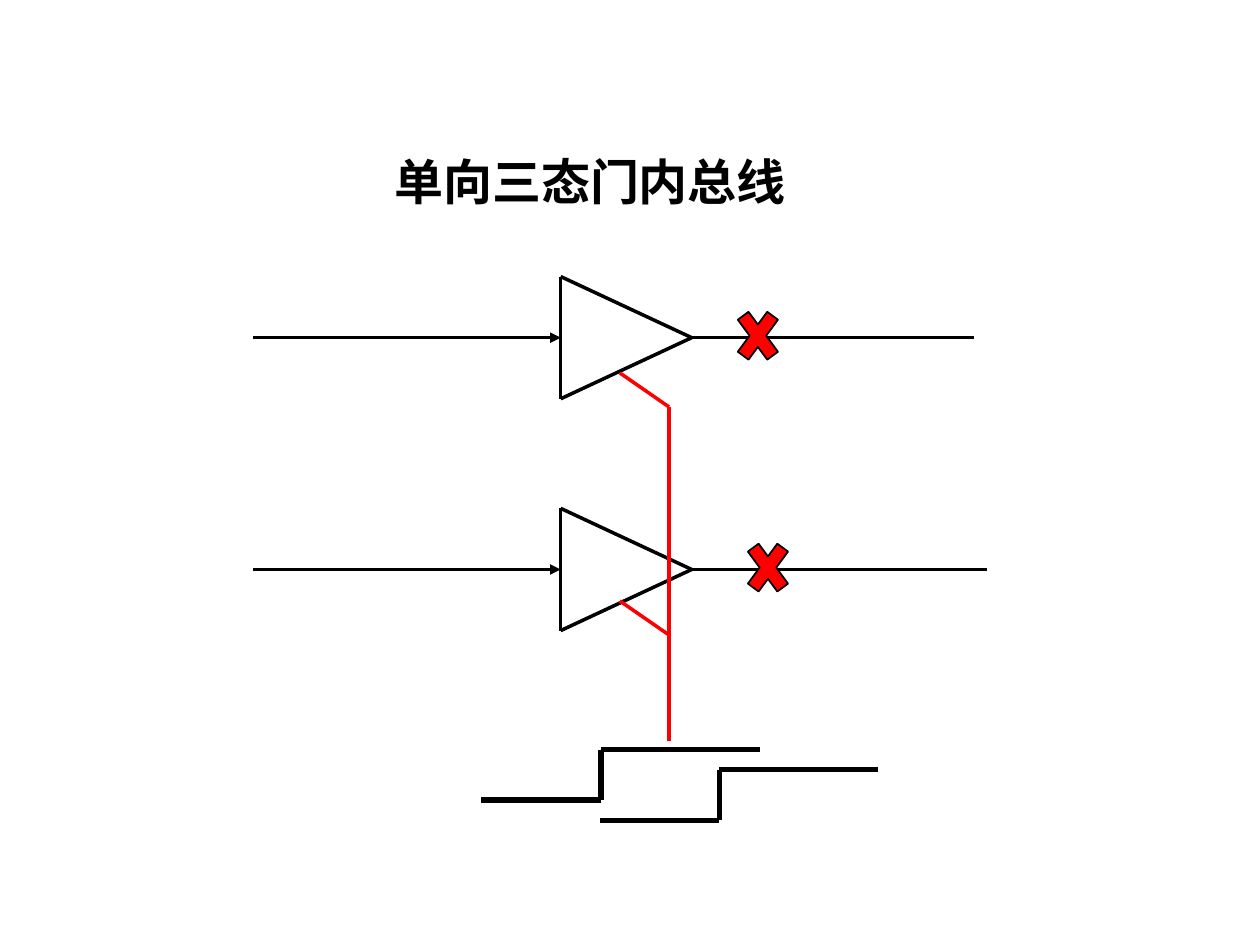
from lxml import etree
from pptx import Presentation
from pptx.dml.color import RGBColor
from pptx.enum import shapes, text
from pptx.oxml.ns import qn
from pptx.util import Inches, Pt

BLACK, RED = "000000", "FF0000"


def color(hex_code):
    return RGBColor.from_string(hex_code)


def add_wire(points, hex_code, width, arrow=False):
    """Join successive points with straight connectors."""
    for start, end in zip(points, points[1:]):
        wire = page.shapes.add_connector(
            shapes.MSO_CONNECTOR.STRAIGHT, *map(Inches, start + end))
        wire.line.color.rgb = color(hex_code)
        wire.line.width = Pt(width)
        etree.SubElement(wire._element.spPr, qn("a:effectLst"))
        if arrow:
            etree.SubElement(wire.line._get_or_add_ln(), qn("a:tailEnd"), type="triangle")


deck = Presentation()
deck.slide_width, deck.slide_height = Inches(10), Inches(7.5)
page = deck.slides.add_slide(deck.slide_layouts[5])

# Title
title = page.shapes.title
title.left, title.top = Inches(3.03), Inches(1.15)
title.width, title.height = Inches(3.39), Inches(0.57)
frame = title.text_frame
frame.word_wrap = False
frame.auto_size = text.MSO_AUTO_SIZE.NONE
frame.vertical_anchor = text.MSO_ANCHOR.MIDDLE
para = frame.paragraphs[0]
para.alignment = text.PP_ALIGN.LEFT
span = para.add_run()
span.text = "单向三态门内总线"
span.font.name = "Times New Roman"
span.font.size = Pt(28)
span.font.bold = True
span.font.color.rgb = color(BLACK)

# Tri-state gates with their input and output wires
gate_left, gate_tip, half_height = 4.45, 5.49, 0.485
gates = [(2.68, 7.73), (4.52, 7.83)]
for axis, output_end in gates:
    top, bottom = (gate_left, axis - half_height), (gate_left, axis + half_height)
    tip = (gate_tip, axis)
    add_wire([top, bottom], BLACK, 2)
    add_wire([top, tip, bottom], BLACK, 2)
    add_wire([(2.01, axis), (gate_left, axis)], BLACK, 2, arrow=True)
    add_wire([tip, (output_end, axis)], BLACK, 2)

# Step signals
for left, low in [(4.76, 6.51), (3.82, 6.35)]:
    rise, high = left + 0.95, low - 0.4
    add_wire([(left, low), (rise, low), (rise, high), (rise + 1.26, high)], BLACK, 3)

# Shared enable line with a branch to each gate
enable_x = 5.31
add_wire([(enable_x, 3.23), (enable_x, 5.88)], RED, 2)
for branch_top in (2.96, 4.77):
    add_wire([(4.92, branch_top), (enable_x, branch_top + 0.27)], RED, 2)

# Crosses marking the blocked outputs
for left, top in [(5.79, 2.36), (5.87, 4.2)]:
    cross = page.shapes.add_shape(
        shapes.MSO_SHAPE.MATH_MULTIPLY,
        Inches(left), Inches(top), Inches(0.45), Inches(0.61))
    cross.shadow.inherit = False
    cross.fill.solid()
    cross.fill.fore_color.rgb = color(RED)
    cross.line.color.rgb = color(BLACK)
    cross.line.width = Pt(1)

deck.save("out.pptx")
